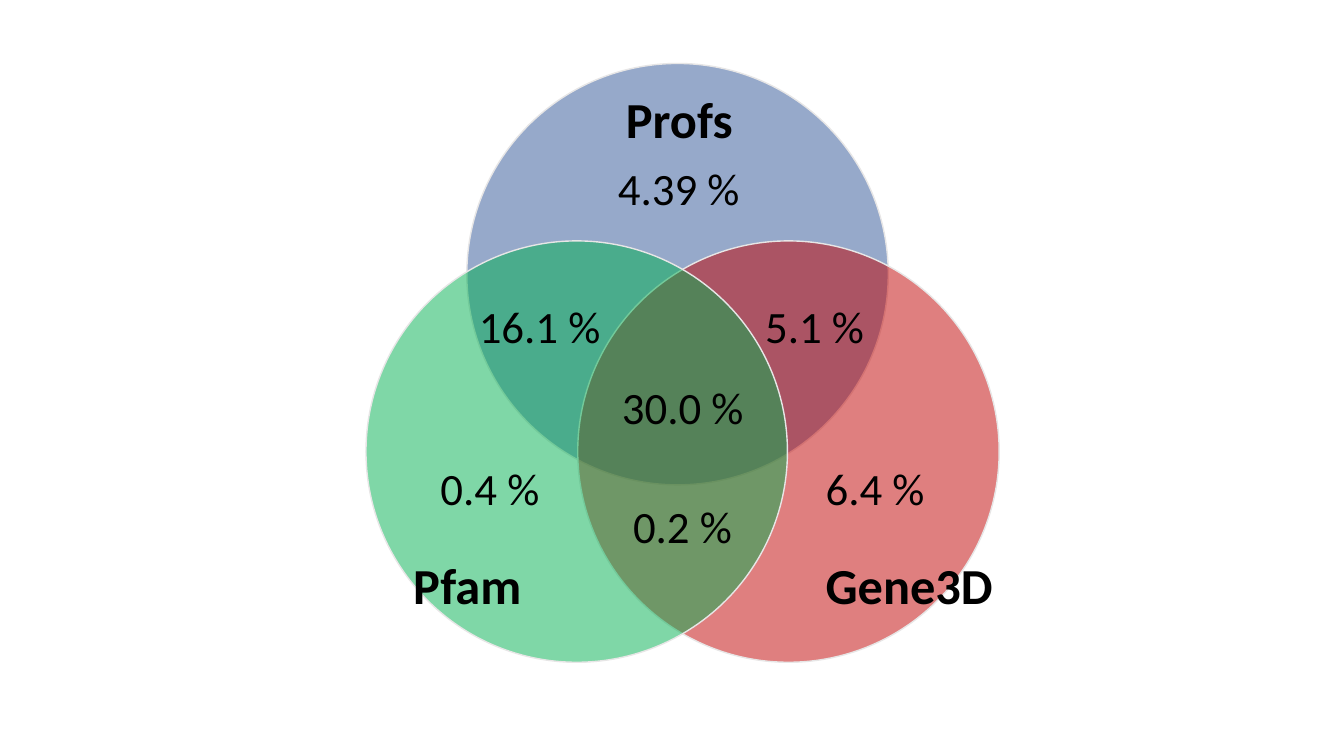
from dataclasses import dataclass
from lxml import etree
from pptx import Presentation
from pptx.dml.color import RGBColor
from pptx.enum.shapes import MSO_SHAPE
from pptx.enum.text import MSO_AUTO_SIZE
from pptx.oxml.ns import qn
from pptx.util import Inches, Pt

OVAL = MSO_SHAPE.OVAL
FIT_SHAPE = MSO_AUTO_SIZE.SHAPE_TO_FIT_TEXT


@dataclass(frozen=True)
class Theme:
    """Colours, font and type sizes of the Venn diagram."""
    font: str = "Calibri"
    text: str = "000000"
    outline: str = "E7E6E6"
    profs: str = "2F5597"
    gene3d: str = "C00000"
    pfam: str = "00B050"
    opacity: int = 50
    value_size: int = 32
    name_size: int = 36


class VennSlide:
    """Draws circles and labels on one slide in a shared style."""

    def __init__(self, s, theme):
        self.s = s
        self.theme = theme
        self.circles = s.shapes.add_group_shape()

    def circle(self, left, top, diameter, color):
        """Add a translucent circle to the group."""
        sp = self.circles.shapes.add_shape(
            OVAL, Inches(left), Inches(top), Inches(diameter), Inches(diameter))
        sp.shadow.inherit = False
        sp.fill.solid()
        sp.fill.fore_color.rgb = RGBColor.from_string(color)
        clr = sp.fill._xPr.find(qn("a:solidFill"))[0]
        etree.SubElement(clr, qn("a:alpha"), val=str(self.theme.opacity * 1000))
        sp.line.color.rgb = RGBColor.from_string(self.theme.outline)
        sp.line.width = Pt(1)

    def label(self, text, left, top, width, height, size, bold=False):
        """Add a one-line text box."""
        sp = self.s.shapes.add_textbox(
            Inches(left), Inches(top), Inches(width), Inches(height))
        tf = sp.text_frame
        tf.word_wrap = False
        tf.auto_size = FIT_SHAPE
        r = tf.paragraphs[0].add_run()
        r.text = text
        formats = {"name": self.theme.font, "size": Pt(size), "bold": bold}
        for key, value in formats.items():
            setattr(r.font, key, value)
        r.font.color.rgb = RGBColor.from_string(self.theme.text)

    def value(self, text, left, top):
        """Add the percentage of one region."""
        width = 1.42 if len(text) > 5 else 1.19
        self.label(text, left, top, width, 0.64, self.theme.value_size)

    def name(self, text, left, top, width):
        """Add the bold name of one set."""
        self.label(text, left, top, width, 0.71, self.theme.name_size, True)


def main():
    """Build the slide and save it."""
    prs = Presentation()
    prs.slide_width, prs.slide_height = Inches(13.33), Inches(7.5)
    theme = Theme()
    venn = VennSlide(prs.slides.add_slide(prs.slide_layouts[6]), theme)

    for left, top, color in [(4.63, 0.63, theme.profs),
                             (5.73, 2.39, theme.gene3d),
                             (3.63, 2.39, theme.pfam)]:
        venn.circle(left, top, 4.18, color)

    for text, left, top in [("4.39 %", 6.03, 1.55), ("30.0 %", 6.07, 3.72),
                            ("5.1 %", 7.49, 2.91), ("0.2 %", 6.18, 4.9),
                            ("16.1 %", 4.65, 2.91), ("0.4 %", 4.27, 4.52),
                            ("6.4 %", 8.09, 4.52)]:
        venn.value(text, left, top)

    for text, left, top, width in [("Profs", 6.11, 0.82, 1.27),
                                   ("Gene3D", 8.09, 5.45, 1.88),
                                   ("Pfam", 4, 5.45, 1.28)]:
        venn.name(text, left, top, width)

    prs.save("out.pptx")


main()
